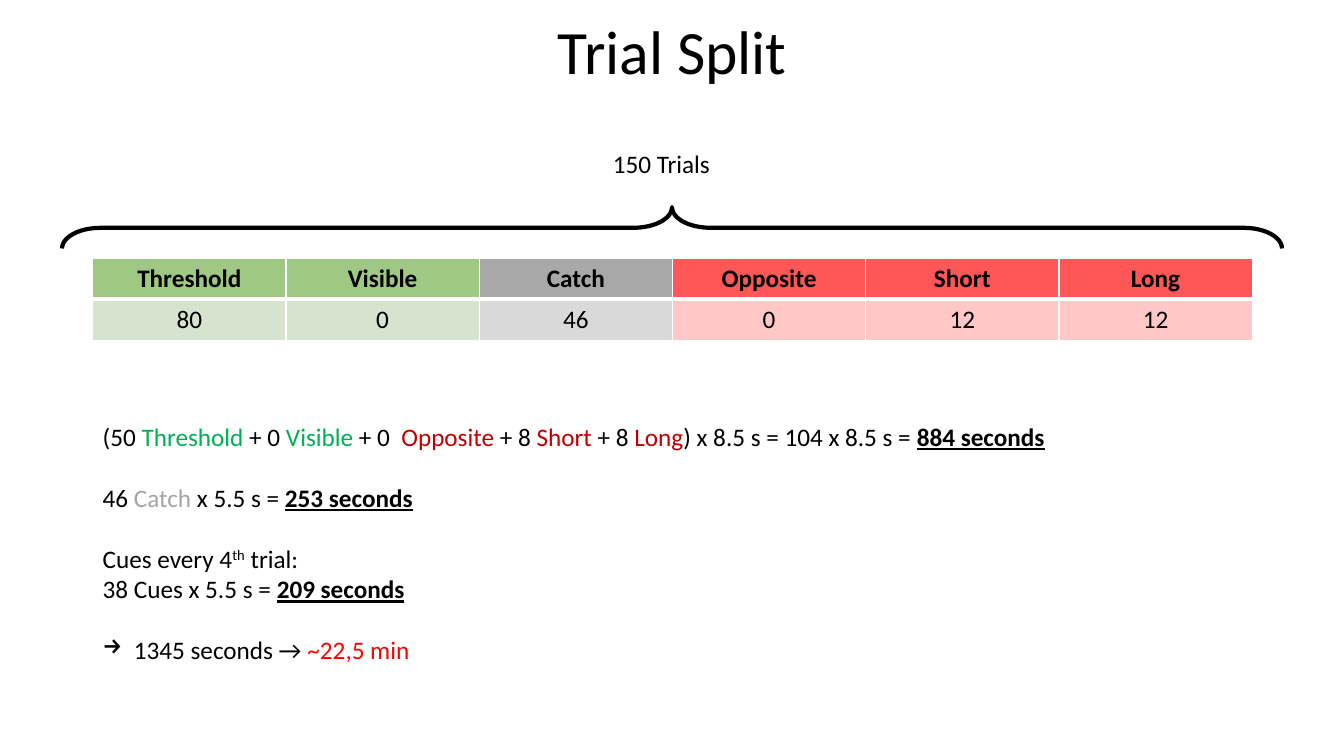
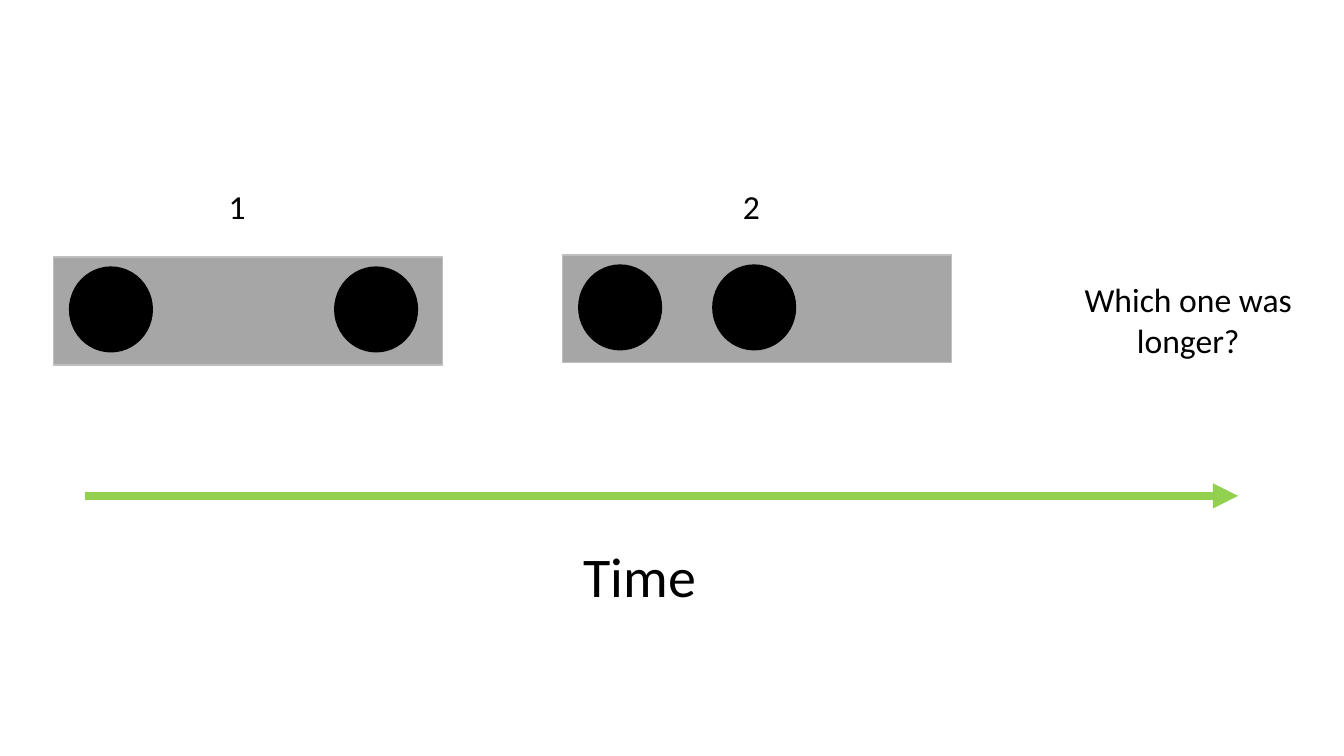
from lxml import etree
from pptx import Presentation
from pptx.dml.color import RGBColor
from pptx.enum.shapes import MSO_CONNECTOR as CONN, MSO_SHAPE as SHAPE
from pptx.enum.text import MSO_ANCHOR as ANCHOR, PP_ALIGN as ALIGN
from pptx.oxml import parse_xml
from pptx.oxml.ns import nsdecls, qn
from pptx.util import Pt

PX = 9144  # 100 px to the inch
FONT = "Calibri"
BLACK, WHITE = "000000", "FFFFFF"
GREEN, RED, GREY = "00B050", "C00000", "A5A5A5"


def rgb(color):
    return RGBColor.from_string(color)


def add_run(p, text, size=18, color=BLACK, bold=False, underline=False, raised=False):
    r = p.add_run()
    r.text = text
    f = r.font
    f.name, f.size, f.bold, f.underline = FONT, Pt(size), bold, underline
    f.color.rgb = rgb(color)
    if raised:
        r._r.get_or_add_rPr().set("baseline", "30000")


prs = Presentation()
prs.slide_width, prs.slide_height = 1333 * PX, 750 * PX
split = prs.slides.add_slide(prs.slide_layouts[5])
timing = prs.slides.add_slide(prs.slide_layouts[6])

# Title
title = split.shapes.title
title.left, title.top, title.width, title.height = 92 * PX, 13 * PX, 1150 * PX, 82 * PX
title.text_frame.vertical_anchor = ANCHOR.MIDDLE
p = title.text_frame.paragraphs[0]
p.alignment, p.line_spacing = ALIGN.CENTER, 0.9
add_run(p, "Trial Split", size=44)

# Trial table: heading, count, (heading fill, opacity), (count fill, opacity)
go = ("70AD47", 66), ("D5E3CF", 100)
catch = ("7C7C7C", 66), ("D9D9D9", 100)
odd = ("FF0000", 66), ("FF0000", 22)
trials = [
    ("Threshold", "80", go), ("Visible", "0", go), ("Catch", "46", catch),
    ("Opposite", "0", odd), ("Short", "12", odd), ("Long", "12", odd),
]
table = split.shapes.add_table(2, len(trials), 92 * PX, 256 * PX, 1150 * PX, 82 * PX).table
for col, (heading, count, fills) in enumerate(trials):
    for row, text in enumerate((heading, count)):
        cell = table.cell(row, col)
        p = cell.text_frame.paragraphs[0]
        p.alignment = ALIGN.CENTER
        add_run(p, text, bold=row == 0)
        color, opacity = fills[row]
        cell.fill.solid()
        cell.fill.fore_color.rgb = rgb(color)
        tcPr = cell._tc.get_or_add_tcPr()
        alpha = etree.SubElement(tcPr.find(".//" + qn("a:srgbClr")), qn("a:alpha"))
        alpha.set("val", str(opacity * 1000))
        divider = "lnT" if row else "lnB"
        for i, side in enumerate(("lnL", "lnR", "lnT", "lnB")):
            width = Pt(3 if side == divider else 1)
            tcPr.insert(i, parse_xml(
                f'<a:{side} {nsdecls("a")} w="{width}"><a:solidFill>'
                f'<a:srgbClr val="{WHITE}"/></a:solidFill></a:{side}>'))

# Brace over the table
brace = split.shapes.add_shape(SHAPE.LEFT_BRACE, 646 * PX, -379 * PX, 41 * PX, 1210 * PX)
brace.rotation = 90
brace.adjustments[0], brace.adjustments[1] = 0.93, 0.5
brace.shadow.inherit = False
brace.fill.background()
brace.line.color.rgb = rgb(BLACK)
brace.line.width = Pt(3)

# Duration sums: whether a gap comes first, then the runs
go_word, odd_word = {"color": GREEN}, {"color": RED}
result = {"bold": True, "underline": True}
sums = [
    (False, [("(50 ", {}), ("Threshold", go_word), (" + 0 ", {}), ("Visible", go_word),
             (" + 0  ", {}), ("Opposite", odd_word), (" + 8 ", {}), ("Short", odd_word),
             (" + 8 ", {}), ("Long", odd_word), (") x 8.5 s = 104 x 8.5 s = ", {}),
             ("884 seconds", result)]),
    (True, [("46 ", {}), ("Catch", {"color": GREY}), (" x 5.5 s = ", {}),
            ("253 seconds", result)]),
    (True, [("Cues every 4", {}), ("th", {"raised": True}), (" trial:", {})]),
    (False, [("38 Cues x 5.5 s = ", {}), ("209 seconds", result)]),
    (True, [("1345 seconds → ", {}), ("~22,5 min", {"color": "FF0000"})]),
]
tf = split.shapes.add_textbox(92 * PX, 413 * PX, 995 * PX, 252 * PX).text_frame
tf.word_wrap = True
for i, (gap, runs) in enumerate(sums):
    p = tf.add_paragraph() if i else tf.paragraphs[0]
    p.space_before = Pt(22 if gap else 0)
    for text, style in runs:
        add_run(p, text, **style)
pPr = p._p.get_or_add_pPr()
pPr.set("marL", str(31 * PX))
pPr.set("indent", str(-31 * PX))
etree.SubElement(pPr, qn("a:buChar")).set("char", "→")

# Stimulus bars, each with two dots
for left, top, second_dot in ((53, 255, 279), (558, 253, 149)):
    parts = [(SHAPE.RECTANGLE, left, top, 386, 107, "A6A6A6", "BFBFBF")]
    parts += [(SHAPE.OVAL, left + dx, top + 10, 82, 84, BLACK, BLACK)
              for dx in (16, second_dot)]
    for kind, x, y, w, h, fill, line in parts:
        sp = timing.shapes.add_shape(kind, x * PX, y * PX, w * PX, h * PX)
        sp.shadow.inherit = False
        sp.fill.solid()
        sp.fill.fore_color.rgb = rgb(fill)
        sp.line.color.rgb = rgb(line)
        sp.line.width = Pt(1)

# Time arrow
arrow = timing.shapes.add_connector(CONN.STRAIGHT, 84 * PX, 492 * PX, 1228 * PX, 492 * PX)
arrow.line.color.rgb = rgb("92D050")
arrow.line.width = Pt(6)
etree.SubElement(arrow.line._get_or_add_ln(), qn("a:tailEnd")).set("type", "triangle")
etree.SubElement(arrow._element.spPr, qn("a:effectLst"))

# Labels on both slides
labels = [
    (split, "150 Trials", 579, 142, 154, 40, 18, ALIGN.CENTER),
    (timing, "1", 217, 180, 71, 50, 24, ALIGN.LEFT),
    (timing, "2", 727, 180, 71, 50, 24, ALIGN.LEFT),
    (timing, "Which one was longer?", 1063, 272, 231, 91, 24, ALIGN.CENTER),
    (timing, "Time", 569, 532, 259, 77, 40, ALIGN.LEFT),
]
for s, text, x, y, w, h, size, align in labels:
    tf = s.shapes.add_textbox(x * PX, y * PX, w * PX, h * PX).text_frame
    tf.word_wrap = True
    p = tf.paragraphs[0]
    p.alignment = align
    add_run(p, text, size=size)

prs.save("out.pptx")
